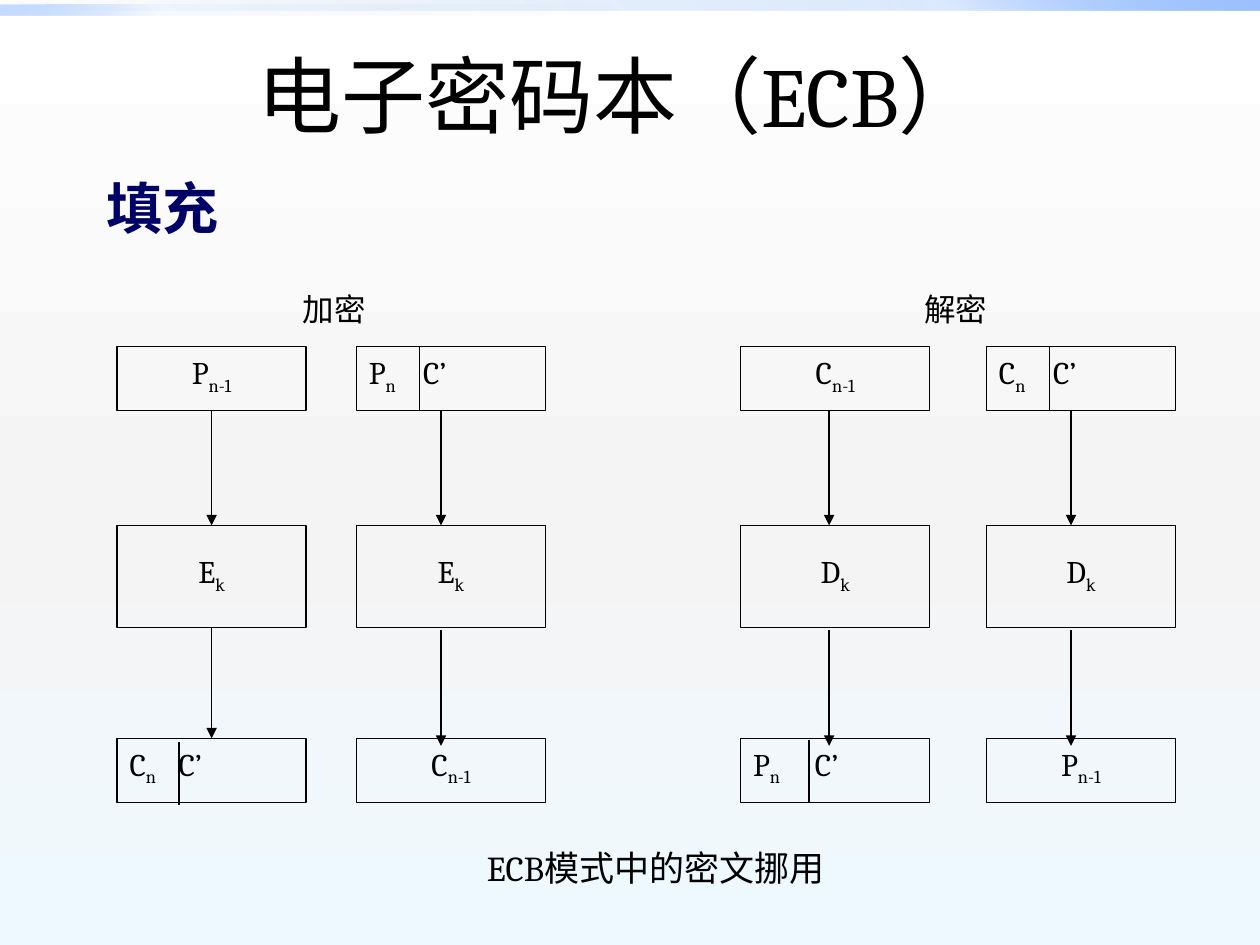
from lxml.etree import SubElement
from pptx import Presentation
from pptx.dml.color import RGBColor
from pptx.enum.shapes import MSO_CONNECTOR, MSO_SHAPE
from pptx.enum.text import MSO_ANCHOR, PP_ALIGN
from pptx.oxml.ns import qn
from pptx.util import Inches, Pt

BLACK = RGBColor(0x00, 0x00, 0x00)
NAVY = RGBColor(0x00, 0x00, 0x66)
WHITE = RGBColor(0xFF, 0xFF, 0xFF)
GREY = RGBColor(0xF4, 0xF4, 0xF4)
PALE = RGBColor(0xEE, 0xF9, 0xFF)
DEEP_BLUE = RGBColor(0x00, 0x58, 0xB7)
BLUE = RGBColor(0x4F, 0x95, 0xFF)
LIGHT_BLUE = RGBColor(0x9E, 0xC2, 0xFF)

SERIF, SANS = "Cambria", "Noto Sans CJK SC"
COLS, ROWS = 10, 7.5  # grid over the slide, in square cells
BOX_W, BOX_H, KEY_H = 1.5, 0.51, 0.81
TOP, MIDDLE, BOTTOM = 2.75, 4.17, 5.86  # rows of boxes


def write(tf, text, size=18, font=SERIF, color=BLACK, bold=False,
          align=PP_ALIGN.CENTER, anchor=MSO_ANCHOR.TOP, tab=None):
    """Fill a text frame; parts between bars are subscripts."""
    tf.word_wrap = True
    tf.vertical_anchor = anchor
    p = tf.paragraphs[0]
    p.alignment = align
    if tab:
        tabs = SubElement(p._p.get_or_add_pPr(), qn("a:tabLst"))
        SubElement(tabs, qn("a:tab"), pos=str(Inches(tab)), algn="l")
    for i, part in enumerate(text.split("|")):
        if not part:
            continue
        r = p.add_run()
        r.text = part
        r.font.size, r.font.name, r.font.bold = Pt(size), font, bold
        r.font.color.rgb = color
        rPr = r._r.get_or_add_rPr()
        SubElement(rPr, qn("a:ea"), typeface=SANS)
        if i % 2:
            rPr.set("baseline", "-25000")


class Deck:
    def __init__(self, prs):
        self.cell_w = prs.slide_width / COLS
        self.cell_h = prs.slide_height / ROWS
        self.line_color, self.line_width = BLACK, Pt(0.75)
        self.s = prs.slides.add_slide(prs.slide_layouts[6])

    def place(self, x, y):
        return int(x * self.cell_w), int(y * self.cell_h)

    def gradient(self, fill, element, stops, angle):
        """Stops are (position %, colour, opacity %)."""
        fill.gradient()
        grad = element.find(".//" + qn("a:gradFill"))
        gs_list = grad.find(qn("a:gsLst"))
        gs_list.clear()
        for pos, color, opacity in stops:
            gs = SubElement(gs_list, qn("a:gs"), pos=str(pos * 1000))
            clr = SubElement(gs, qn("a:srgbClr"), val=str(color))
            if opacity < 100:
                SubElement(clr, qn("a:alpha"), val=str(opacity * 1000))
        grad.find(qn("a:lin")).set("ang", str(angle * 60000))

    def background(self, stops, angle):
        self.gradient(self.s.background.fill, self.s.element, stops, angle)

    def rect(self, x, y, w, h):
        sp = self.s.shapes.add_shape(
            MSO_SHAPE.RECTANGLE, *self.place(x, y), *self.place(w, h))
        sp.shadow.inherit = False
        return sp

    def band(self, x, y, w, h, stops, angle):
        sp = self.rect(x, y, w, h)
        sp.line.fill.background()
        self.gradient(sp.fill, sp._element, stops, angle)

    def text(self, x, y, w, h, text, **style):
        sp = self.s.shapes.add_textbox(*self.place(x, y), *self.place(w, h))
        write(sp.text_frame, text, **style)

    def box(self, x, y, h, text, inset=0.05, **style):
        sp = self.rect(x, y, BOX_W, h)
        sp.fill.background()
        sp.line.color.rgb, sp.line.width = self.line_color, self.line_width
        sp.text_frame.margin_top = sp.text_frame.margin_bottom = Inches(inset)
        write(sp.text_frame, text, **style)
        return sp

    def split_box(self, x, y, text, divider, tab, drop=0):
        """Box with a vertical divider and text on both sides of it."""
        sp = self.box(x, y, BOX_H, text, align=PP_ALIGN.LEFT, tab=tab)
        self.line(x + divider, y + drop, y + drop + 0.5)
        return sp

    def line(self, x, y1, y2, arrow=False):
        c = self.s.shapes.add_connector(
            MSO_CONNECTOR.STRAIGHT, *self.place(x, y1), *self.place(x, y2))
        c.line.color.rgb, c.line.width = self.line_color, self.line_width
        if arrow:
            SubElement(c.line._get_or_add_ln(), qn("a:tailEnd"), type="triangle")
        SubElement(c._element.spPr, qn("a:effectLst"))
        return c


def main():
    prs = Presentation()
    prs.slide_width, prs.slide_height = Inches(10), Inches(7.5)
    d = Deck(prs)

    # Background and top bands
    d.background([(0, WHITE, 100), (55, GREY, 100), (100, PALE, 100)], 90)
    d.band(0, 0, 10, 0.08,
           [(0, DEEP_BLUE, 0), (75, BLUE, 20), (100, LIGHT_BLUE, 100)], 315)
    d.band(0, 0.04, 5, 0.08,
           [(0, DEEP_BLUE, 0), (75, BLUE, 5), (100, LIGHT_BLUE, 60)], 135)

    # Headings
    d.text(0.67, 0.33, 8.5, 0.83, "电子密码本（ECB）", size=48,
           anchor=MSO_ANCHOR.MIDDLE)
    d.text(0.75, 1.33, 8.5, 0.67, "填充", size=32, font=SANS, color=NAVY,
           bold=True, align=PP_ALIGN.LEFT)
    d.text(2.24, 2.25, 0.83, 0.4, "加密")
    d.text(7.17, 2.25, 0.83, 0.4, "解密")

    # Chains: left, arrow x, input, cipher, output, arrow end;
    # a split block is (text, divider, tab, drop)
    chains = [
        (0.93, 1.68, "P|n-1|", "E|k|", ("C|n|\tC’", 0.49, 0.39, 0.03), 5.86),
        (2.83, 3.5, ("P|n|\tC’", 0.5, 0.43), "E|k|", "C|n-1|", 5.92),
        (5.88, 6.58, "C|n-1|", "D|k|", ("P|n|\tC’", 0.54, 0.49, 0.01), 5.92),
        (7.83, 8.5, ("C|n|\tC’", 0.5, 0.43), "D|k|", "P|n-1|", 5.92),
    ]
    for x, arrow_x, source, cipher, result, arrow_end in chains:
        blocks = []
        for y, block in ((TOP, source), (BOTTOM, result)):
            if isinstance(block, tuple):
                blocks.append(d.split_box(x, y, *block))
            else:
                blocks.append(d.box(x, y, BOX_H, block))
        key = d.box(x, MIDDLE, KEY_H, cipher, inset=0.21)
        arrows = [d.line(arrow_x, 3.25, MIDDLE, arrow=True),
                  d.line(arrow_x, 5, arrow_end, arrow=True)]
        # Join arrows that run along the centre of the boxes
        if abs(arrow_x - x - BOX_W / 2) < 0.01:
            for c, start, end in zip(arrows, (blocks[0], key), (key, blocks[1])):
                c.begin_connect(start, 2)
                c.end_connect(end, 0)

    # Caption
    d.text(3.33, 6.67, 3.75, 0.44, "ECB模式中的密文挪用", size=20)

    prs.save("out.pptx")


if __name__ == "__main__":
    main()
